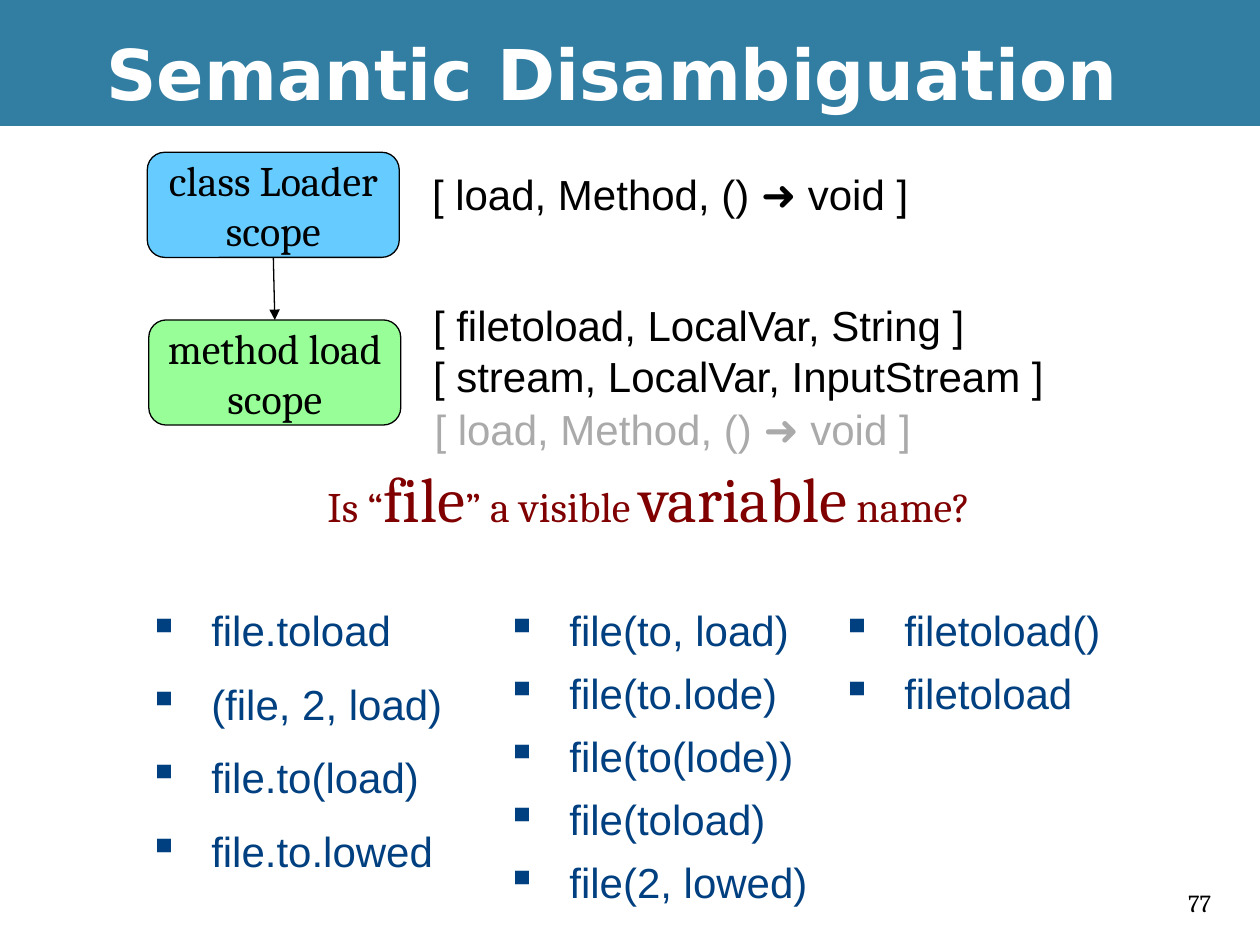
from dataclasses import dataclass

from lxml.etree import SubElement
from pptx import Presentation
from pptx.dml.color import RGBColor
from pptx.enum.shapes import MSO_CONNECTOR as Connector, MSO_SHAPE as Preset
from pptx.enum.text import MSO_ANCHOR as Anchor, MSO_AUTO_SIZE as AutoSize, PP_ALIGN as Align
from pptx.oxml.ns import qn
from pptx.util import Cm, Pt

BLACK, WHITE, NAVY, MAROON, GREY = "000000", "FFFFFF", "004080", "800000", "AAAAAA"
SLIDE_WIDTH, SLIDE_HEIGHT, HEADER_HEIGHT = 25.4, 19.05, 2.54
ITEM_HEIGHT, ITEM_TOP, ITEM_INDENT = 1.27, 12.07, 1.27


@dataclass
class Box:
    left: float
    top: float
    width: float
    height: float

    def lengths(self) -> tuple:
        return Cm(self.left), Cm(self.top), Cm(self.width), Cm(self.height)


@dataclass
class Scope:
    label: str
    box: Box
    fill: str


@dataclass
class Symbols:
    lines: list[str]
    box: Box
    color: str = BLACK


@dataclass
class Column:
    left: float
    pitch: float
    items: list[tuple[str, float]]


SCOPES = [
    Scope("class Loader\nscope", Box(2.97, 3.07, 5.08, 2.12), "66CCFF"),
    Scope("method load\nscope", Box(3, 6.45, 5.08, 2.12), "98FF98"),
]
LOAD_METHOD = "[ load, Method, () ➜ void ]"
SYMBOLS = [
    Symbols([LOAD_METHOD], Box(8.46, 3.28, 10.19, 1.27)),
    Symbols(["[ filetoload, LocalVar, String ]", "[ stream, LocalVar, InputStream ]"],
            Box(8.48, 5.92, 12.93, 2.29)),
    Symbols([LOAD_METHOD], Box(8.51, 8, 10.19, 1.27), GREY),
]
COLUMNS = [
    Column(2.74, 1.48, [("file.toload", 5.41), ("(file, 2, load)", 6.43),
                        ("file.to(load)", 5.97), ("file.to.lowed", 6.25)]),
    Column(9.96, 1.27, [("file(to, load)", 6.2), ("file(to.lode)", 5.97),
                        ("file(to(lode))", 6.3), ("file(toload)", 5.74),
                        ("file(2, lowed)", 6.58)]),
    Column(16.71, 1.27, [("filetoload()", 5.74), ("filetoload", 5.18)]),
]
QUESTION = [("Is “", 24), ("file", 36), ("” a visible ", 24), ("variable", 36), (" name?", 24)]


def rgb(color: str) -> RGBColor:
    return RGBColor.from_string(color)


def add_run(paragraph, text: str, font: str, size: float, color: str, bold: bool) -> None:
    for index, part in enumerate(text.split("\n")):
        if index:
            paragraph.add_line_break()
        run = paragraph.add_run()
        run.text = part
        run.font.name, run.font.size, run.font.bold = font, Pt(size), bold
        run.font.color.rgb = rgb(color)


def write(shape, paragraphs: list, *, font: str = "Arial", size: float = 24,
          color: str = BLACK, bold: bool = False, align=Align.LEFT,
          anchor=Anchor.TOP, wrap: bool = False, grow: bool = True) -> None:
    frame = shape.text_frame
    frame.word_wrap = wrap
    frame.auto_size = AutoSize.SHAPE_TO_FIT_TEXT if grow else AutoSize.NONE
    frame.vertical_anchor = anchor
    for index, content in enumerate(paragraphs):
        paragraph = frame.add_paragraph() if index else frame.paragraphs[0]
        paragraph.alignment = align
        runs = [(content, size)] if isinstance(content, str) else content
        for text, run_size in runs:
            add_run(paragraph, text, font, run_size, color, bold)


def add_text(shapes, box: Box, paragraphs: list, **text_format):
    shape = shapes.add_textbox(*box.lengths())
    write(shape, paragraphs, **text_format)
    return shape


def add_block(shapes, preset, box: Box, fill: str, line: str | None = None):
    shape = shapes.add_shape(preset, *box.lengths())
    shape.shadow.inherit = False
    shape.fill.solid()
    shape.fill.fore_color.rgb = rgb(fill)
    if line:
        shape.line.color.rgb = rgb(line)
        shape.line.width = Pt(0.75)
    else:
        shape.line.fill.background()
    return shape


def add_scope(shapes, scope: Scope):
    shape = add_block(shapes, Preset.ROUNDED_RECTANGLE, scope.box, scope.fill, BLACK)
    write(shape, [scope.label], font="Cambria", align=Align.CENTER,
          anchor=Anchor.MIDDLE, grow=False)
    return shape


def add_arrow(shapes, start, end) -> None:
    arrow = shapes.add_connector(Connector.STRAIGHT, 0, 0, 0, 0)
    arrow.begin_connect(start, 2)
    arrow.end_connect(end, 0)
    arrow.line.color.rgb = rgb(BLACK)
    arrow.line.width = Pt(0.75)
    SubElement(arrow.line._get_or_add_ln(), qn("a:tailEnd"), type="triangle")
    SubElement(arrow._element.spPr, qn("a:effectLst"))


def add_bullet(paragraph) -> None:
    properties = paragraph._p.get_or_add_pPr()
    properties.set("marL", str(Cm(ITEM_INDENT)))
    properties.set("indent", str(-Cm(ITEM_INDENT)))
    SubElement(properties, qn("a:buChar"), char="▪")


def add_column(shapes, column: Column) -> None:
    group = shapes.add_group_shape()
    for index, (text, width) in enumerate(column.items):
        box = Box(column.left, ITEM_TOP + index * column.pitch, width, ITEM_HEIGHT)
        item = add_text(group.shapes, box, [text], color=NAVY)
        add_bullet(item.text_frame.paragraphs[0])


def main() -> None:
    presentation = Presentation()
    presentation.slide_width, presentation.slide_height = Cm(SLIDE_WIDTH), Cm(SLIDE_HEIGHT)
    slide = presentation.slides.add_slide(presentation.slide_layouts[6])
    shapes = slide.shapes

    body = Box(0, HEADER_HEIGHT, SLIDE_WIDTH, SLIDE_HEIGHT - HEADER_HEIGHT)
    add_block(shapes, Preset.RECTANGLE, body, WHITE)
    add_block(shapes, Preset.RECTANGLE, Box(0, 0, SLIDE_WIDTH, HEADER_HEIGHT), "327EA3")
    add_text(shapes, Box(23.7, 17.78, 1.27, 0.84), ["77"], font="Cambria", size=14, wrap=True)
    add_text(shapes, Box(1.9, 0.2, 23.5, 2.54), ["Semantic Disambiguation"],
             font="DejaVu Sans", size=40, color=WHITE, bold=True,
             anchor=Anchor.MIDDLE, wrap=True, grow=False)

    for column in COLUMNS:
        add_column(shapes, column)
    class_scope, method_scope = [add_scope(shapes, scope) for scope in SCOPES]
    add_arrow(shapes, class_scope, method_scope)
    for symbols in SYMBOLS:
        add_text(shapes, symbols.box, symbols.lines, color=symbols.color)
    add_text(shapes, Box(6.35, 9.14, 13.49, 1.78), [QUESTION], font="Cambria", color=MAROON)

    presentation.save("out.pptx")


if __name__ == "__main__":
    main()
